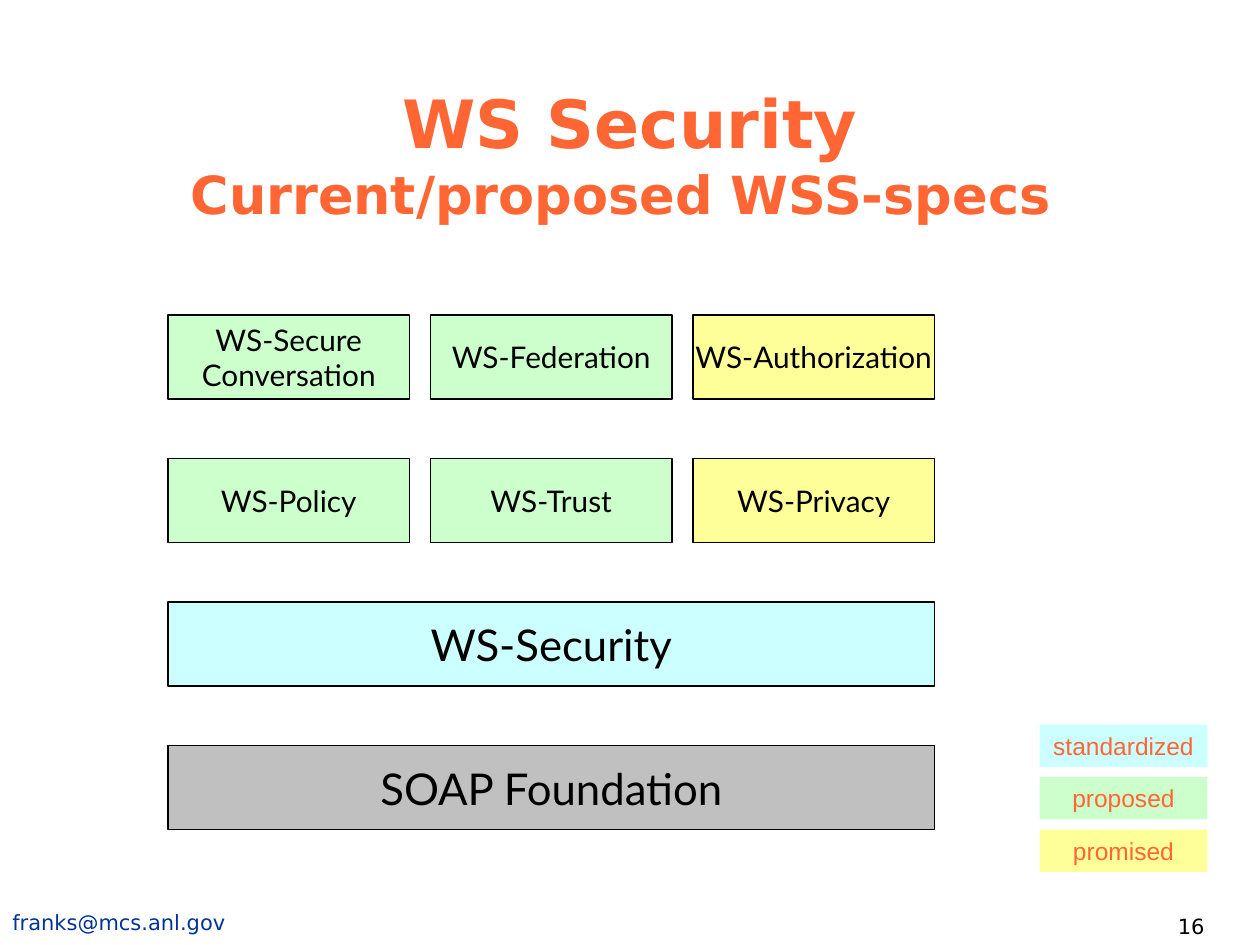
from lxml import etree
from pptx import Presentation
from pptx.dml.color import RGBColor
from pptx.enum.shapes import MSO_SHAPE as Shape
from pptx.enum.text import MSO_ANCHOR as Anchor, MSO_AUTO_SIZE as AutoSize, PP_ALIGN as Align
from pptx.oxml.ns import qn
from pptx.util import Pt

COLORS = {
    "standardized": "CCFFFF",
    "proposed": "CCFFCC",
    "promised": "FFFF99",
    "foundation": "C0C0C0",
    "accent": "FF6633",
    "email": "003399",
    "black": "000000",
    "white": "FFFFFF",
}


def color(name):
    return RGBColor.from_string(COLORS[name])


def format_font(font, size, name, ink, bold=False):
    font.size = Pt(size)
    font.name = name
    font.bold = bold
    font.color.rgb = color(ink)


def write_text(shape, text, size, name, ink, align=Align.LEFT, anchor=Anchor.TOP, wrap=True):
    frame = shape.text_frame
    frame.text = text
    frame.word_wrap = wrap
    frame.vertical_anchor = anchor
    for paragraph in frame.paragraphs:
        paragraph.alignment = align
        for run in paragraph.runs:
            format_font(run.font, size, name, ink)


def add_box(slide, box, fill, text, outlined=True, **text_format):
    shape = slide.shapes.add_shape(Shape.RECTANGLE, *map(Pt, box))
    shape.shadow.inherit = False
    shape.fill.solid()
    shape.fill.fore_color.rgb = color(fill)
    if outlined:
        shape.line.color.rgb = color("black")
        shape.line.width = Pt(0.75)
    else:
        shape.line.fill.background()
    write_text(shape, text, align=Align.CENTER, **text_format)


def add_title(slide, box):
    title = slide.shapes.title
    title.left, title.top, title.width, title.height = map(Pt, box)
    # Half-transparent white panel
    title.fill.solid()
    title.fill.fore_color.rgb = color("white")
    panel_color = title._element.spPr.find(qn("a:solidFill"))[0]
    etree.SubElement(panel_color, qn("a:alpha"), val="50000")

    frame = title.text_frame
    frame.auto_size = AutoSize.NONE
    frame.word_wrap = True
    frame.vertical_anchor = Anchor.BOTTOM
    paragraph = frame.paragraphs[0]
    paragraph.alignment = Align.CENTER
    heading = paragraph.add_run()
    heading.text = "WS Security"
    paragraph.add_line_break()
    subheading = paragraph.add_run()
    subheading.text = "Current/proposed WSS-specs "
    for run, size in ((heading, 38), (subheading, 30)):
        format_font(run.font, size, "DejaVu Sans", "accent", bold=True)
    # The line break takes the size of the heading
    line_break = paragraph._p.find(qn("a:br"))
    etree.SubElement(line_break, qn("a:rPr"), sz="3800")


def add_stack(slide, box):
    """Rows of specifications; the boxes of a row share its width."""
    rows = [
        [("WS-Secure\nConversation", "proposed"), ("WS-Federation", "proposed"),
         ("WS-Authorization", "promised")],
        [("WS-Policy", "proposed"), ("WS-Trust", "proposed"), ("WS-Privacy", "promised")],
        [("WS-Security", "standardized")],
        [("SOAP Foundation", "foundation")],
    ]
    left, top, width, height = box
    row_height, column_gap = 48, 12
    row_step = (height - row_height) / (len(rows) - 1)
    for row_index, row in enumerate(rows):
        column_width = (width - column_gap * (len(row) - 1)) / len(row)
        for column_index, (text, fill) in enumerate(row):
            cell = (left + column_index * (column_width + column_gap),
                    top + row_index * row_step, column_width, row_height)
            add_box(slide, cell, fill, text, size=25 if len(row) == 1 else 17,
                    name="Lato", ink="black", anchor=Anchor.MIDDLE, wrap=False)


def add_legend(slide, box):
    left, top, width, height = box
    item_height = 24.25
    statuses = ("standardized", "proposed", "promised")
    step = (height - item_height) / (len(statuses) - 1)
    for index, status in enumerate(statuses):
        add_box(slide, (left, top + index * step, width, item_height), status, status,
                outlined=False, size=14, name="Arial", ink="accent")


def add_footer(slide, box):
    left, top, width, height = box
    parts = (("franks@mcs.anl.gov", left, top, 330, "email"),
             ("16", left + width - 54, top + 2.4, 54, "black"))
    for text, x, y, part_width, ink in parts:
        text_box = slide.shapes.add_textbox(Pt(x), Pt(y), Pt(part_width), Pt(height))
        write_text(text_box, text, size=12, name="DejaVu Sans", ink=ink)


def main():
    presentation = Presentation()
    presentation.slide_width, presentation.slide_height = Pt(720), Pt(540)
    slide = presentation.slides.add_slide(presentation.slide_layouts[5])
    add_title(slide, (54, 48, 612, 84))
    add_stack(slide, (96, 180, 438, 294))
    add_legend(slide, (594, 414, 96, 84.25))
    add_footer(slide, (0, 516, 720, 24))
    presentation.save("out.pptx")


if __name__ == "__main__":
    main()
